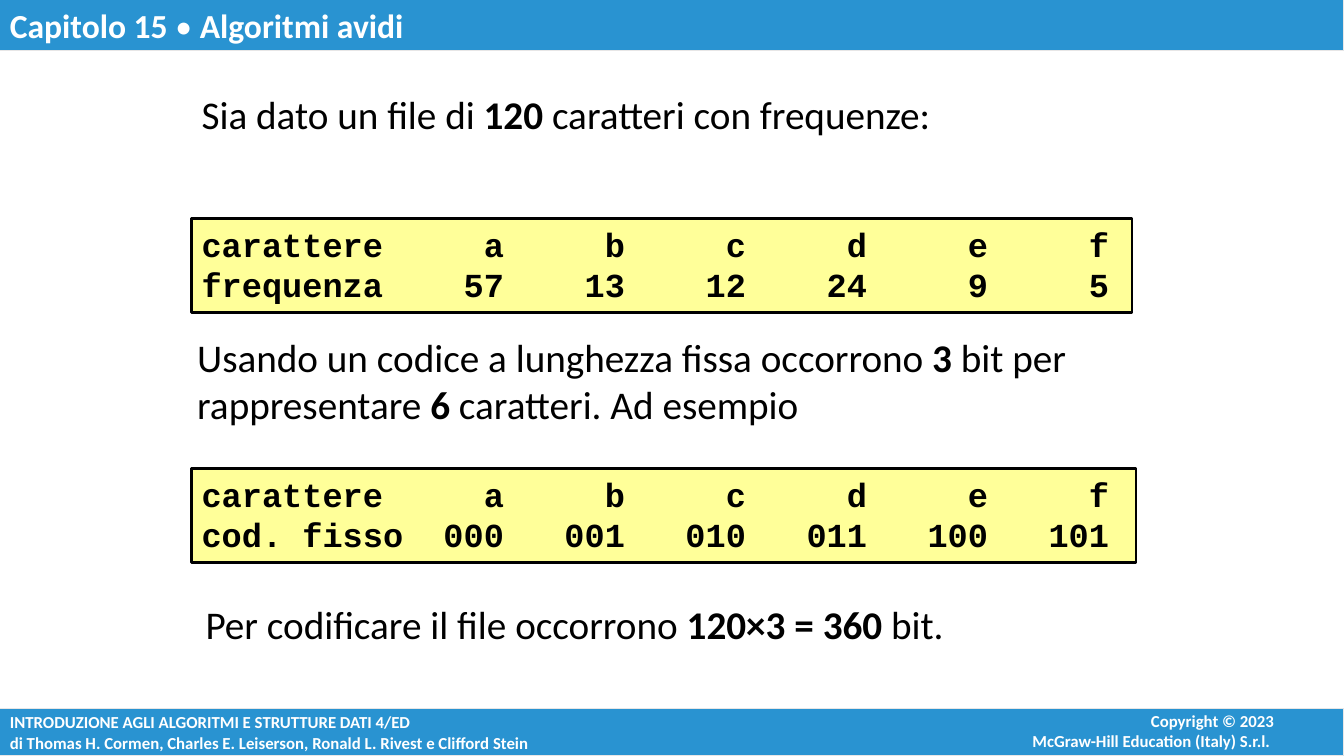
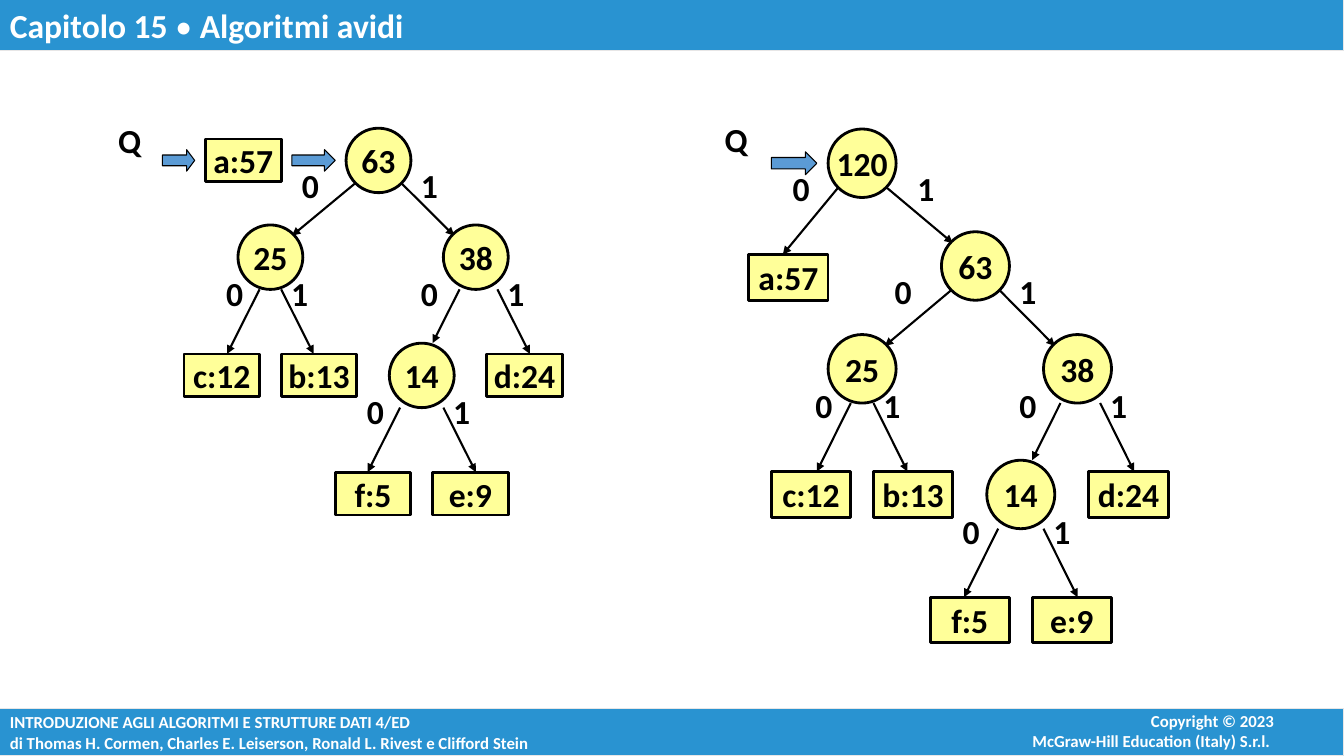
import lxml.etree
import pptx
import pptx.dml.color
import pptx.enum.shapes
import pptx.enum.text
import pptx.oxml.ns
import pptx.util

Cm, Pt = pptx.util.Cm, pptx.util.Pt
Kind = pptx.enum.shapes.MSO_SHAPE
Align = pptx.enum.text.PP_ALIGN
Anchor = pptx.enum.text.MSO_ANCHOR
qn = pptx.oxml.ns.qn

hues = {"band": "2993D1", "edge": "E7E6E6", "note": "FFFF99",
        "arrow": "5B9BD5", "ink": "000000", "pale": "FFFFFF"}
rgb = {name: pptx.dml.color.RGBColor.from_string(hue) for name, hue in hues.items()}

# Text styles
title = {"size": Pt(24), "name": "Calibri", "hue": "pale"}
small = {"size": Pt(12), "name": "Calibri", "hue": "pale"}
prose = {"size": Pt(28), "name": "Calibri", "hue": "ink"}
mono = {"size": Pt(24), "name": "Courier New", "hue": "ink"}
node = {"size": Pt(24), "name": "Calibri", "hue": "ink"}


def write(shape, lines, style, align=Align.LEFT, anchor=Anchor.TOP, wrap=True, tabs=()):
    """Fill a shape with lines of text; parts between asterisks are bold."""
    frame = shape.text_frame
    frame.word_wrap, frame.vertical_anchor = wrap, anchor
    for row, line in enumerate(lines):
        para = frame.add_paragraph() if row else frame.paragraphs[0]
        para.alignment = align
        if tabs:
            stops = lxml.etree.SubElement(para._p.get_or_add_pPr(), qn("a:tabLst"))
            for stop in tabs:
                lxml.etree.SubElement(stops, qn("a:tab"), pos=str(Cm(stop)), algn="r")
        for part, text in enumerate(line.split("*")):
            if not text:
                continue
            run = para.add_run()
            run.text = text
            run.font.color.rgb = rgb[style["hue"]]
            form = {"size": style["size"], "name": style["name"], "bold": part % 2 == 1}
            for key, val in form.items():
                setattr(run.font, key, val)


def draw(home, kind, rect, fill, line, width):
    """Add a filled, outlined shape; rect is in centimetres."""
    shape = home.add_shape(kind, *map(Cm, rect))
    shape.shadow.inherit = False
    shape.fill.solid()
    shape.fill.fore_color.rgb = rgb[fill]
    shape.line.color.rgb = rgb[line]
    shape.line.width = Pt(width)
    return shape


deck = pptx.Presentation()
wide = 33.87
deck.slide_width, deck.slide_height = Cm(wide), Cm(19.05)
blank = deck.slide_layouts[6]
for spot in list(blank.placeholders):
    spot.element.getparent().remove(spot.element)
first, second = [deck.slides.add_slide(blank) for _ in range(2)]

# Shared bands, moved to the layout
foot = draw(first.shapes, Kind.RECTANGLE, (0, 17.86, wide, 1.19), "band", "edge", 0.75)
write(foot, ["*INTRODUZIONE AGLI ALGORITMI E STRUTTURE DATI 4/ED*",
             "*di Thomas H. Cormen, Charles E. Leiserson, Ronald L. Rivest e Clifford Stein*"],
      small, anchor=Anchor.MIDDLE, wrap=False)
right = first.shapes.add_textbox(Cm(22.58), Cm(17.78), Cm(9.78), Cm(1.27))
write(right, ["*Copyright © 2023*", "*McGraw-Hill Education (Italy) S.r.l. *"],
      small, Align.RIGHT)
head = draw(first.shapes, Kind.RECTANGLE, (0, 0, wide, 1.27), "band", "edge", 0.75)
write(head, ["*Capitolo 15 *•* Algoritmi avidi*"], title)
for shape in (foot, right, head):
    blank.shapes.element.append(shape.element)

# Slide 1: sentences
for left, top, tall, text in [
        (4.83, 2.16, 1.45, "Sia dato un file di *120* caratteri con frequenze:"),
        (4.72, 8.28, 2.64, "Usando un codice a lunghezza fissa occorrono *3* bit per "
                           "rappresentare *6* caratteri. Ad esempio"),
        (4.93, 15.01, 1.45, "Per codificare il file occorrono *120×3 = 360 *bit.")]:
    box = first.shapes.add_textbox(Cm(left), Cm(top), Cm(23.8), Cm(tall))
    write(box, [text], prose)

# Slide 1: code boxes, with columns six characters apart
stops = [7.62 + 3.05 * col for col in range(6)]
for top, width, name, vals in [
        (5.51, 23.7, "frequenza", "57 13 12 24 9 5"),
        (11.81, 23.8, "cod. fisso", "000 001 010 011 100 101")]:
    box = draw(first.shapes, Kind.RECTANGLE, (4.83, top, width, 2.36), "note", "ink", 2)
    rows = [["carattere", *"abcdef"], [name, *vals.split()]]
    write(box, ["*" + "\t".join(row) + "*" for row in rows], mono, tabs=stops)

# Slide 2: the subtree both trees share, in grid units
discs = [("63", 17, 0), ("25", 7, 9), ("38", 26, 9), ("14", 21, 20)]
leaves = [("c:12", 2, 21), ("b:13", 11, 21), ("d:24", 30, 21), ("f:5", 16, 32), ("e:9", 25, 32)]
edges = [(18, 5, 12, 10), (22, 5, 27, 10), (9, 15, 6, 21), (11, 15, 14, 21),
         (27.5, 15, 25, 20), (31, 15, 34, 21), (22, 26, 19, 32), (26, 26, 29, 32)]
bits = [("0", 12, 2.65), ("1", 23, 2.65), ("0", 5, 12.65), ("1", 11, 12.65),
        ("0", 23, 12.65), ("1", 31, 12.65), ("0", 18, 23.65), ("1", 26, 23.65)]

# Each tree: place, size in units, drop of the subtree, and its own parts
trees = [
    {"left": 4.09, "top": 3.23, "dx": 10.08 / 37, "dy": 9.75 / 36, "drop": 0,
     "discs": [], "leaves": [("a:57", 4, 1)], "edges": [],
     "bits": [("Q", -5, -1.6)], "arrows": [(0, 3, 0.375), (12, 4, 0.5)]},
    {"left": 18.87, "top": 3.25, "dx": 10.57 / 37, "dy": 12.95 / 45, "drop": 9,
     "discs": [("120", 7, 0)], "leaves": [("a:57", 0, 11)],
     "edges": [(8, 5, 3, 11), (12, 5, 18, 10)],
     "bits": [("Q", -3, -1.6), ("0", 3, 2.65), ("1", 14, 2.65)], "arrows": [(2, 4, 0.5)]}]

for tree in trees:
    home = second.shapes.add_group_shape().shapes
    left, top, dx, dy, drop = [tree[key] for key in ("left", "top", "dx", "dy", "drop")]

    # Edges
    for x1, y1, x2, y2 in tree["edges"] + [(a, b + drop, c, d + drop) for a, b, c, d in edges]:
        edge = home.add_connector(
            pptx.enum.shapes.MSO_CONNECTOR.STRAIGHT,
            Cm(left + x1 * dx), Cm(top + y1 * dy), Cm(left + x2 * dx), Cm(top + y2 * dy))
        edge.line.color.rgb = rgb["ink"]
        edge.line.width = Pt(1.5)
        lxml.etree.SubElement(edge.line._get_or_add_ln(), qn("a:tailEnd"), type="triangle")
        lxml.etree.SubElement(edge._element.spPr, qn("a:effectLst"))

    # Nodes
    for kind, key, shared, cols, rows in [(Kind.OVAL, "discs", discs, 6, 6),
                                          (Kind.RECTANGLE, "leaves", leaves, 7, 4)]:
        for text, x, y in tree[key] + [(t, x, y + drop) for t, x, y in shared]:
            rect = (left + x * dx, top + y * dy, cols * dx, rows * dy)
            shape = draw(home, kind, rect, "note", "ink", 2)
            write(shape, [f"*{text}*"], node, Align.CENTER, Anchor.MIDDLE, False)

    # Bits and queue names
    for text, x, y in tree["bits"] + [(t, x, y + drop) for t, x, y in bits]:
        box = home.add_textbox(Cm(left + x * dx), Cm(top + y * dy), Cm(1.02), Cm(1.45))
        write(box, [f"*{text}*"], node, anchor=Anchor.MIDDLE, wrap=False)

    # Queue arrows
    for x, cols, tip in tree["arrows"]:
        rect = (left + x * dx, top + 2 * dy, cols * dx, 2 * dy)
        arrow = draw(home, Kind.RIGHT_ARROW, rect, "arrow", "ink", 0.75)
        arrow.adjustments[1] = tip

deck.save("out.pptx")
